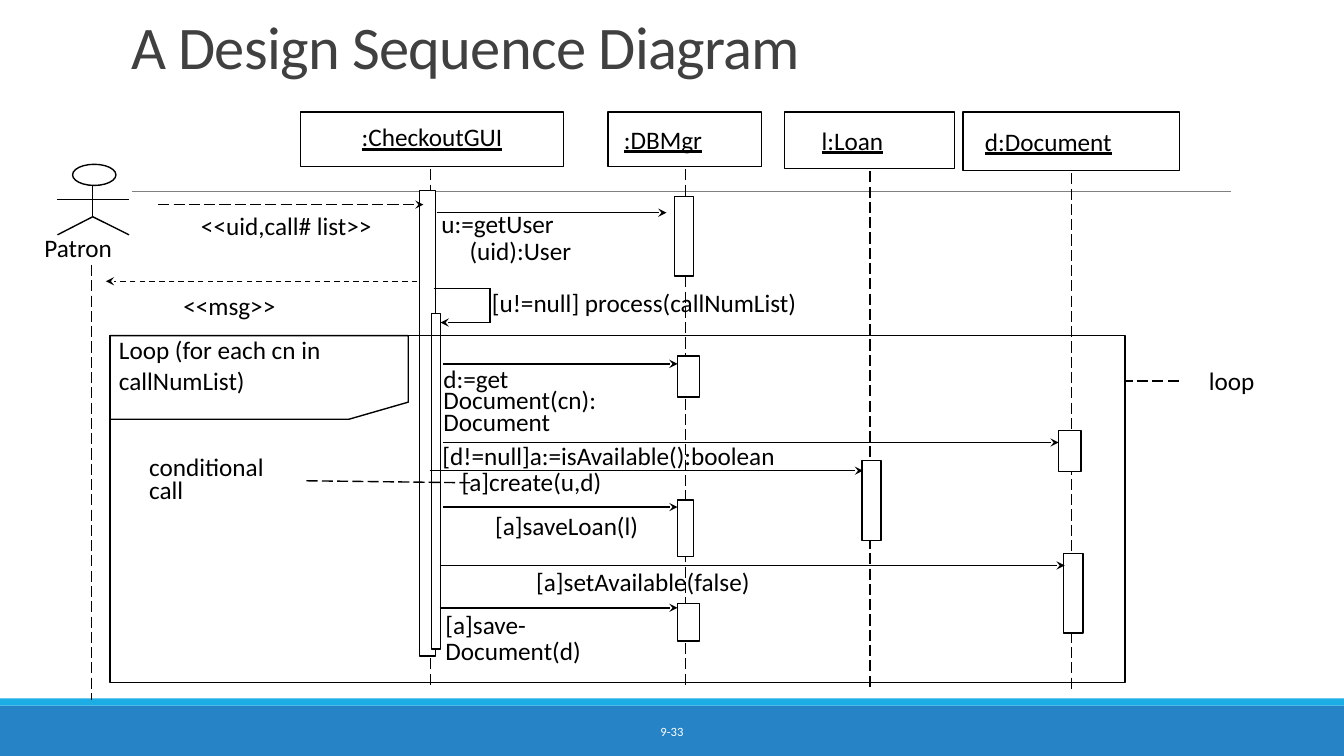
import pptx
import pptx.util
import pptx.dml.color
import pptx.enum.dml
import pptx.enum.shapes
import pptx.enum.text
import pptx.oxml.ns
from lxml import etree

Inches, Pt = pptx.util.Inches, pptx.util.Pt
SHAPE = pptx.enum.shapes.MSO_SHAPE
DASH = pptx.enum.dml.MSO_LINE.LONG_DASH
SHORT_DASH = pptx.enum.dml.MSO_LINE.DASH
ANCHOR = pptx.enum.text.MSO_ANCHOR
LEFT, CENTER = pptx.enum.text.PP_ALIGN.LEFT, pptx.enum.text.PP_ALIGN.CENTER
qn = pptx.oxml.ns.qn
COLORS = {
    name: pptx.dml.color.RGBColor.from_string(value)
    for name, value in {
        "ink": "000000", "paper": "FFFFFF", "title": "404040",
        "rule": "808080", "footer": "2683C6", "stripe": "1CADE4",
    }.items()
}

presentation = pptx.Presentation()
presentation.slide_width = Inches(13.33)
presentation.slide_height = Inches(7.5)
slide = presentation.slides.add_slide(presentation.slide_layouts[5])
shapes = slide.shapes


def add_box(left, top, width, height, fill=None, line="ink", kind=SHAPE.RECTANGLE):
    shape = shapes.add_shape(kind, Inches(left), Inches(top), Inches(width), Inches(height))
    shape.shadow.inherit = False
    if fill:
        shape.fill.solid()
        shape.fill.fore_color.rgb = COLORS[fill]
    else:
        shape.fill.background()
    if line:
        shape.line.color.rgb = COLORS[line]
        shape.line.width = Pt(1)
    else:
        shape.line.fill.background()


def add_line(x1, y1, x2, y2, dash=None, arrow=False, color="ink", width=1):
    connector = shapes.add_connector(
        pptx.enum.shapes.MSO_CONNECTOR.STRAIGHT,
        Inches(x1), Inches(y1), Inches(x2), Inches(y2))
    connector.line.color.rgb = COLORS[color]
    connector.line.width = Pt(width)
    if dash:
        connector.line.dash_style = dash
    if arrow:
        etree.SubElement(connector.line._get_or_add_ln(), qn("a:tailEnd"), type="stealth")
    etree.SubElement(connector._element.spPr, qn("a:effectLst"))


# Footer and rule
add_box(0, 7, 13.33, 0.5, "footer", None)
add_box(0, 6.93, 13.33, 0.07, "stripe", None)
add_line(1.31, 1.9, 12.21, 1.9, color="rule", width=0.5)

# Title
title = shapes.title
title.left, title.top, title.width, title.height = map(Inches, (1.2, 0.31, 11, 0.55))
title.text_frame.text = "A Design Sequence Diagram"
title.text_frame.auto_size = pptx.enum.text.MSO_AUTO_SIZE.NONE
title.text_frame.vertical_anchor = ANCHOR.BOTTOM
paragraph = title.text_frame.paragraphs[0]
paragraph.alignment = LEFT
paragraph.line_spacing = 0.85
paragraph.font.name = "Calibri"
paragraph.font.size = Pt(43.2)
paragraph.font.color.rgb = COLORS["title"]
paragraph.runs[0].font._element.set("spc", "-50")

# Patron: head, body, legs, arms
add_box(0.72, 1.63, 0.43, 0.21, kind=SHAPE.OVAL)
for limb in [(0.92, 1.84, 0.92, 2.15), (0.92, 2.15, 1.28, 2.33),
             (0.92, 2.15, 0.57, 2.33), (0.57, 1.98, 1.28, 1.98)]:
    add_line(*limb)

# Object boxes, each with its lifeline
add_line(0.91, 2.63, 0.91, 6.94, DASH)
for left, width, height, lifeline in [
    (2.98, 2.61, 0.54, 4.27),
    (6.03, 1.52, 0.54, 6.8),
    (7.78, 1.69, 0.56, 8.63),
    (9.55, 2.15, 0.58, 10.63),
]:
    add_box(left, 1.11, width, height)
    lifeline_top = 1.14 + height
    add_line(lifeline, lifeline_top, lifeline, lifeline_top + 5.14, DASH)

# Activation bars
for bar in [
    (4.16, 1.89, 0.16, 4.62), (4.28, 3.11, 0.09, 3.33),
    (6.69, 1.95, 0.19, 0.79), (6.72, 3.53, 0.22, 0.41),
    (6.72, 4.96, 0.16, 0.56), (6.72, 5.99, 0.22, 0.37),
    (8.55, 4.57, 0.19, 0.79),
    (10.5, 4.27, 0.22, 0.41), (10.55, 5.49, 0.19, 0.79),
]:
    add_box(*bar, fill="paper")

# Messages: start, end, height
for start, end, y, dash in [
    (1.57, 4.2, 2.03, DASH),
    (4.33, 6.61, 2.11, None),
    (4.14, 1.05, 2.79, SHORT_DASH),
    (4.86, 4.37, 3.2, None),
    (4.39, 6.72, 3.61, None),
    (4.39, 10.5, 4.39, None),
    (4.26, 8.56, 4.67, None),
    (4.39, 6.72, 5.03, None),
    (4.36, 10.56, 5.61, None),
    (4.36, 6.72, 6.03, None),
]:
    add_line(start, y, end, y, dash, arrow=True)
add_line(4.3, 2.86, 4.86, 2.86)
add_line(4.86, 2.86, 4.86, 3.2)

# Loop frame with its tab, and the two side notes
add_box(1.09, 3.33, 10.07, 3.44)
builder = shapes.build_freeform(Inches(3.46), Inches(4.16), scale=1.0)
builder.add_line_segments(
    [(Inches(x), Inches(y)) for x, y in
     [(1.09, 4.16), (1.09, 3.33), (4.05, 3.33), (4.05, 3.99)]], close=True)
loop_tab = builder.convert_to_shape()
loop_tab.shadow.inherit = False
loop_tab.fill.background()
loop_tab.line.color.rgb = COLORS["ink"]
loop_tab.line.width = Pt(1)
add_line(11.69, 3.78, 11.16, 3.78, DASH)
add_line(3.04, 4.77, 4.69, 4.79, DASH)

# Labels: place, lines of text, line spacing, options
PADDED, WRAP, UNDERLINE, MIDDLE = "padded", "wrap", "underline", "center"
for place, lines, spacing, options in [
    ((3.13, 1.19, 2.31, 0.38), [":CheckoutGUI"], 0.9, {PADDED, WRAP, UNDERLINE, MIDDLE}),
    ((6.09, 1.18, 0.99, 0.4), [":DBMgr"], 1, {PADDED, UNDERLINE}),
    ((8.05, 1.19, 0.82, 0.4), ["l:Loan"], 1, {PADDED, UNDERLINE}),
    ((9.67, 1.2, 1.48, 0.4), ["d:Document"], 1, {PADDED, UNDERLINE}),
    ((0.44, 2.3, 0.69, 0.3), ["Patron"], 1, set()),
    ((1.43, 2.04, 2.82, 0.4), ["<<uid,call# list>>"], 1, {PADDED, WRAP, MIDDLE}),
    ((4.28, 2.05, 2.74, 0.65), ["u:=getUser", "(uid):User"], 0.9, {PADDED, WRAP}),
    ((1.72, 2.83, 1.13, 0.4), ["<<msg>>"], 1, {PADDED}),
    ((4.78, 2.8, 5.43, 0.4), ["[u!=null] process(callNumList)"], 1, {PADDED, WRAP}),
    ((1.18, 3.32, 3.12, 0.6), ["Loop (for each cn in callNumList)"], 1, {WRAP}),
    ((4.3, 3.64, 1.74, 0.75), ["d:=get", "Document(cn):", "Document"], 0.7, {PADDED}),
    ((11.99, 3.69, 0.46, 0.24), ["loop"], 0.75, set()),
    ((4.29, 4.32, 3.54, 0.4), ["[d!=null]a:=isAvailable():boolean"], 1, {PADDED}),
    ((1.48, 4.55, 1.15, 0.47), ["conditional", "call"], 0.75, set()),
    ((4.48, 4.58, 1.61, 0.4), ["[a]create(u,d)"], 1, {PADDED}),
    ((4.19, 5.1, 2.86, 0.33), ["[a]saveLoan(l)"], 0.7, {PADDED, WRAP, MIDDLE}),
    ((5.22, 5.57, 2.36, 0.4), ["[a]setAvailable(false)"], 1, {PADDED}),
    ((4.32, 6.08, 1.56, 0.59), ["[a]save-", "Document(d)"], 0.7, {PADDED}),
    ((4.03, 7.06, 5.27, 0.4), ["9-33"], 1, {PADDED, WRAP, MIDDLE}),
]:
    text_frame = shapes.add_textbox(*map(Inches, place)).text_frame
    text_frame.word_wrap = WRAP in options
    if PADDED not in options:
        text_frame.margin_left = text_frame.margin_right = 0
        text_frame.margin_top = text_frame.margin_bottom = 0
    text_frame.text = "\n".join(lines)
    page_number = lines == ["9-33"]
    if page_number:
        text_frame.vertical_anchor = ANCHOR.MIDDLE
    for paragraph in text_frame.paragraphs:
        paragraph.alignment = CENTER if MIDDLE in options else LEFT
        paragraph.line_spacing = 0.9 if paragraph.text == "Document(d)" else spacing
        if paragraph.text == "(uid):User":
            paragraph._element.get_or_add_pPr().set("marL", str(Inches(0.28)))
        paragraph.font.name = "Calibri"
        paragraph.font.size = Pt(9 if page_number else 18)
        paragraph.font.underline = True if UNDERLINE in options else None
        paragraph.font.color.rgb = COLORS["paper" if page_number else "ink"]

presentation.save("out.pptx")
